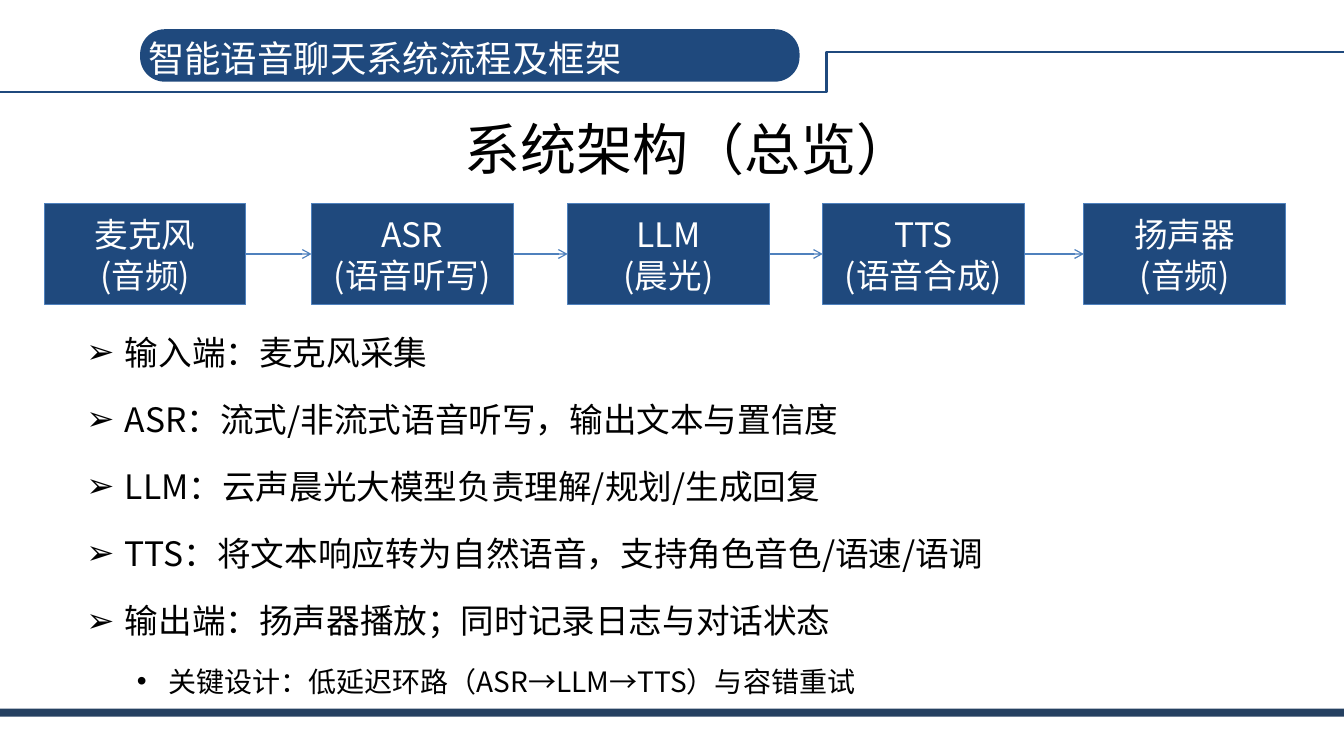
from pptx import Presentation
from pptx.dml.color import RGBColor
from pptx.enum.shapes import MSO_CONNECTOR, MSO_SHAPE
from pptx.enum.text import MSO_ANCHOR, PP_ALIGN
from pptx.oxml.ns import qn
from pptx.util import Inches, Pt
from lxml import etree

ROUNDED, RECTANGLE = MSO_SHAPE.ROUNDED_RECTANGLE, MSO_SHAPE.RECTANGLE
STRAIGHT, ELBOW = MSO_CONNECTOR.STRAIGHT, MSO_CONNECTOR.ELBOW
LEFT, CENTER = PP_ALIGN.LEFT, PP_ALIGN.CENTER
TOP, MIDDLE = MSO_ANCHOR.TOP, MSO_ANCHOR.MIDDLE

# Content
HEADER = "智能语音聊天系统流程及框架"
TITLE = "系统架构（总览）"
STAGES = [  # left edge, text
    (0.44, "麦克风\n(音频)"),
    (3.09, "ASR\n(语音听写)"),
    (5.63, "LLM\n(晨光)"),
    (8.16, "TTS\n(语音合成)"),
    (10.75, "扬声器\n(音频)"),
]
POINTS = [
    "输入端：麦克风采集",
    "ASR：流式/非流式语音听写，输出文本与置信度",
    "LLM：云声晨光大模型负责理解/规划/生成回复",
    "TTS：将文本响应转为自然语音，支持角色音色/语速/语调",
    "输出端：扬声器播放；同时记录日志与对话状态",
]
KEY_DESIGN = "关键设计：低延迟环路（ASR→LLM→TTS）与容错重试"

FONT = "Noto Sans CJK SC"
COLORS = {"navy": "1F497D", "deep": "254061", "blue": "4F81BD",
          "white": "FFFFFF", "black": "000000"}
PAGE_WIDTH, PAGE_HEIGHT = 13.33, 7.5
STAGE_TOP, STAGE_WIDTH, STAGE_HEIGHT = 2.02, 2, 1


def color(name):
    return RGBColor.from_string(COLORS[name])


def add_block(page, kind, left, top, width, height, fill, line=None):
    block = page.shapes.add_shape(
        kind, Inches(left), Inches(top), Inches(width), Inches(height))
    block.shadow.inherit = False
    block.fill.solid()
    block.fill.fore_color.rgb = color(fill)
    if line:
        block.line.color.rgb = color(line)
        block.line.width = Pt(0.75)
    else:
        block.line.fill.background()
    return block


def add_line(page, kind, start, end, line, width):
    link = page.shapes.add_connector(kind, *map(Inches, start + end))
    link.line.color.rgb = color(line)
    link.line.width = Pt(width)
    etree.SubElement(link._element.spPr, qn("a:effectLst"))
    return link


def add_text_box(page, left, top, width, height):
    return page.shapes.add_textbox(
        Inches(left), Inches(top), Inches(width), Inches(height))


def style_para(para, size, ink, align, spacing):
    para.alignment = align
    para.line_spacing = Pt(spacing)
    for span in para.runs:
        span.font.size = Pt(size)
        span.font.name = FONT
        span.font.color.rgb = color(ink)
        east_asian = etree.SubElement(span._r.get_or_add_rPr(), qn("a:ea"))
        east_asian.set("typeface", FONT)


def write(box, text, size, ink, align, spacing, anchor=TOP):
    frame = box.text_frame
    frame.word_wrap = True
    frame.vertical_anchor = anchor
    frame.text = text
    for para in frame.paragraphs:
        style_para(para, size, ink, align, spacing)


def indent(para, margin, first_line, bullet=None):
    props = para._p.get_or_add_pPr()
    props.set("marL", str(Inches(margin)))
    props.set("indent", str(Inches(first_line)))
    if bullet:
        etree.SubElement(props, qn("a:buFont")).set("typeface", "Arial")
        etree.SubElement(props, qn("a:buChar")).set("char", bullet)


def build_frame(page):
    # Header pill, stepped rule and footer bar
    pill = add_block(page, ROUNDED, 1.39, 0.29, 6.54, 0.52, "navy")
    pill.adjustments[0] = 0.469
    add_block(page, RECTANGLE, 0, 7.03, PAGE_WIDTH, 0.08, "deep")
    step = add_line(page, ELBOW, (0, 0.91), (PAGE_WIDTH, 0.52), "navy", 1.5)
    guides = step._element.spPr.find(qn("a:prstGeom")).get_or_add_avLst()
    etree.SubElement(guides, qn("a:gd"), name="adj1", fmla="val 61500")


def build_headings(page):
    header = add_text_box(page, 1.17, 0.28, 7.36, 0.71)
    write(header, HEADER, 26, "white", LEFT, 33)
    indent(header.text_frame.paragraphs[0], 0.2, 0)
    title = add_text_box(page, 2.33, 0.84, 9, 1.25)
    write(title, TITLE, 40, "black", CENTER, 49, MIDDLE)


def build_points(page):
    body = add_text_box(page, 0.76, 3.04, 12, 3.95)
    write(body, "\n".join(POINTS + [KEY_DESIGN]), 24, "black", LEFT, 43.2)
    *points, key_design = body.text_frame.paragraphs
    for para in points:
        para.space_before = Pt(4.8)
        indent(para, 0.38, -0.38, "➢")
    key_design.level = 1
    key_design.line_spacing = Pt(37)
    key_design.space_before = Pt(4)
    key_design.runs[0].font.size = Pt(20)
    indent(key_design, 0.81, -0.31, "•")


def build_flow(page):
    for left, text in STAGES:
        stage = add_block(page, RECTANGLE, left, STAGE_TOP, STAGE_WIDTH,
                          STAGE_HEIGHT, "navy", "blue")
        write(stage, text, 24, "white", CENTER, 29.3, MIDDLE)
    # Arrows span the gaps between neighbouring stages
    middle = STAGE_TOP + STAGE_HEIGHT / 2
    for (left, _), (next_left, _) in zip(STAGES, STAGES[1:]):
        arrow = add_line(page, STRAIGHT, (left + STAGE_WIDTH, middle),
                         (next_left, middle), "blue", 0.85)
        outline = arrow.line._get_or_add_ln()
        etree.SubElement(outline, qn("a:tailEnd")).set("type", "arrow")


def main():
    deck = Presentation()
    deck.slide_width, deck.slide_height = Inches(PAGE_WIDTH), Inches(PAGE_HEIGHT)
    page = deck.slides.add_slide(deck.slide_layouts[6])
    build_frame(page)
    build_headings(page)
    build_points(page)
    build_flow(page)
    deck.save("out.pptx")


if __name__ == "__main__":
    main()
